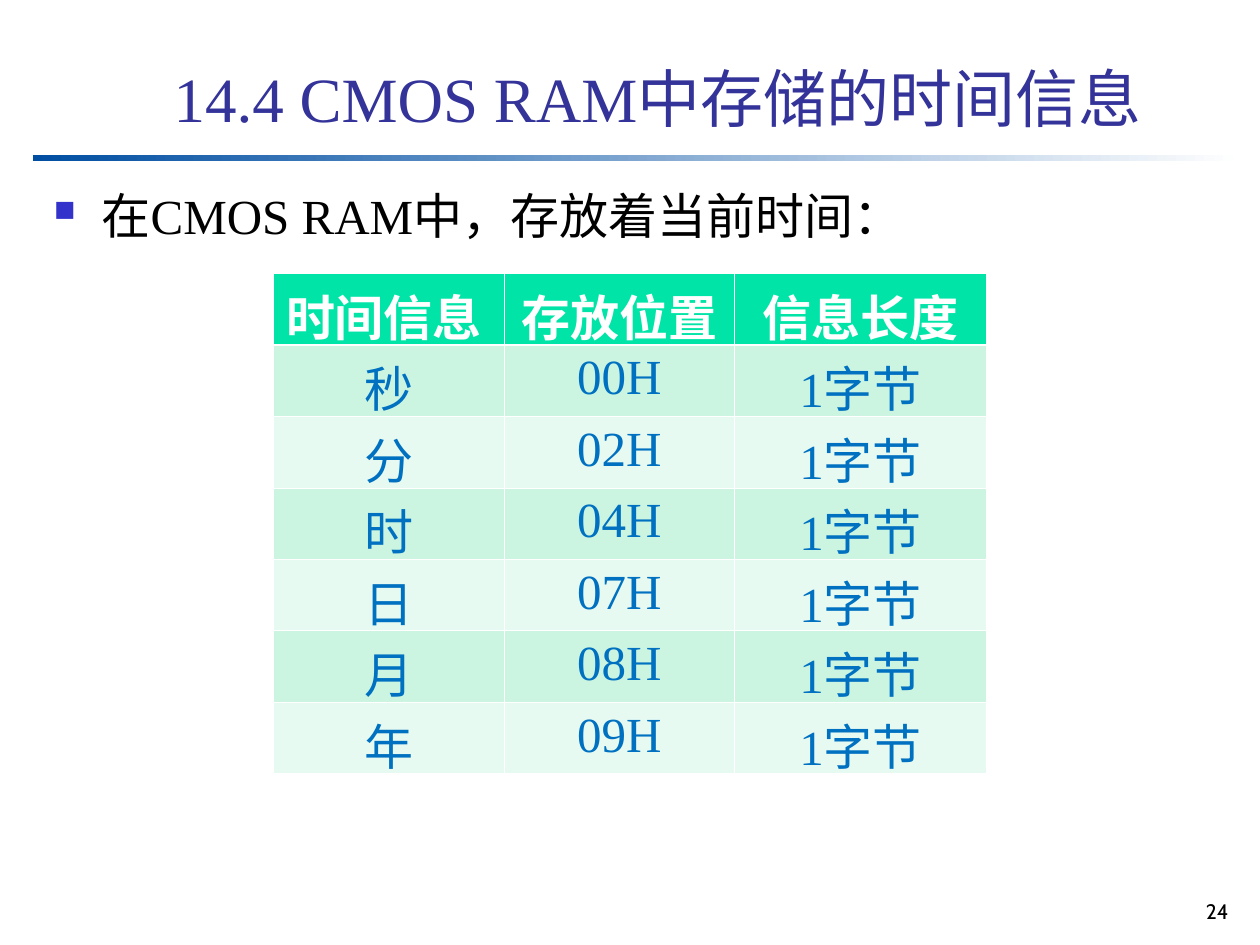
from lxml.etree import SubElement
from pptx import Presentation
from pptx.dml.color import RGBColor
from pptx.enum.lang import MSO_LANGUAGE_ID
from pptx.enum.shapes import MSO_SHAPE
from pptx.enum.text import MSO_ANCHOR, PP_ALIGN
from pptx.oxml.ns import qn
from pptx.util import Inches, Pt

HUES = {
    "title": "333399", "bullet": "3333CC", "text": "000000",
    "rule": "004EA2", "white": "FFFFFF", "head": "00E4A8",
    "odd": "CBF5E1", "even": "E7FAF1", "cell": "0070C0",
}
SERIF = "Times New Roman"
HEADS = ["时间信息", "存放位置", "信息长度"]
TIMES = [("秒", "00H"), ("分", "02H"), ("时", "04H"),
         ("日", "07H"), ("月", "08H"), ("年", "09H")]


def color(name):
    return RGBColor.from_string(HUES[name])


def style(para, text, size, hue, align=PP_ALIGN.LEFT, face=SERIF, bold=False):
    para.text = text
    para.alignment = align
    font = para.font
    font.name, font.size, font.bold = face, Pt(size), bold
    font.color.rgb = color(hue)
    font.language_id = MSO_LANGUAGE_ID.SIMPLIFIED_CHINESE


def add_text(slide, box, anchor=MSO_ANCHOR.TOP):
    frame = slide.shapes.add_textbox(*map(Inches, box)).text_frame
    frame.word_wrap = True
    frame.vertical_anchor = anchor
    return frame.paragraphs[0]


def add_rule(slide, box):
    rule = slide.shapes.add_shape(MSO_SHAPE.RECTANGLE, *map(Inches, box))
    rule.shadow.inherit = False
    rule.line.fill.background()
    rule.fill.gradient()
    rule.fill.gradient_angle = 0
    for stop, hue in zip(rule.fill.gradient_stops, ("rule", "white")):
        stop.color.rgb = color(hue)


def add_title(slide, box):
    para = add_text(slide, box, MSO_ANCHOR.BOTTOM)
    style(para, "14.4 CMOS RAM中存储的时间信息", 36, "title")


def add_body(slide, box):
    para = add_text(slide, box)
    props = para._p.get_or_add_pPr()
    props.set("marL", str(Inches(0.38)))
    props.set("indent", str(-Inches(0.38)))
    tint = SubElement(props, qn("a:buClr"))
    SubElement(tint, qn("a:srgbClr"), val=HUES["bullet"])
    SubElement(props, qn("a:buSzPct"), val="60000")
    SubElement(props, qn("a:buChar"), char="■")
    para.space_before = Pt(7)
    style(para, "在CMOS RAM中，存放着当前时间：", 28, "text")


def add_edges(cell, row):
    props = cell._tc.get_or_add_tcPr()
    for side in "LRTB":
        thick = (row, side) in ((0, "B"), (1, "T"))
        width = Pt(1.47 if thick else 0.45)
        line = SubElement(props, qn(f"a:ln{side}"), w=str(width))
        fill = SubElement(line, qn("a:solidFill"))
        SubElement(fill, qn("a:srgbClr"), val=HUES["white"])


def add_grid(slide, box):
    rows = [HEADS] + [[unit, place, "1字节"] for unit, place in TIMES]
    grid = slide.shapes.add_table(len(rows), len(HEADS), *map(Inches, box)).table
    for col, width in zip(grid.columns, (1.83, 1.83, 2)):
        col.width = Inches(width)
    for r, row in enumerate(rows):
        band = "head" if r == 0 else "odd" if r % 2 else "even"
        hue = "cell" if r else "white"
        for c, text in enumerate(row):
            cell = grid.cell(r, c)
            add_edges(cell, r)
            cell.fill.solid()
            cell.fill.fore_color.rgb = color(band)
            align = PP_ALIGN.CENTER if r or c else PP_ALIGN.LEFT
            style(cell.text_frame.paragraphs[0], text, 28, hue, align, bold=r == 0)


def add_number(slide, box):
    style(add_text(slide, box), "24", 12, "text", PP_ALIGN.RIGHT, "Cabin")


def main():
    deck = Presentation()
    deck.slide_width, deck.slide_height = Inches(10), Inches(7.5)
    slide = deck.slides.add_slide(deck.slide_layouts[6])
    add_rule(slide, (0.26, 1.23, 9.6, 0.05))
    add_number(slide, (9.18, 7.08, 0.67, 0.33))
    add_title(slide, (1.28, 0.18, 8.52, 0.94))
    add_body(slide, (0.33, 1.42, 9.46, 5.67))
    add_grid(slide, (2.17, 2.17, 5.66, 3.97))
    deck.save("out.pptx")


if __name__ == "__main__":
    main()
